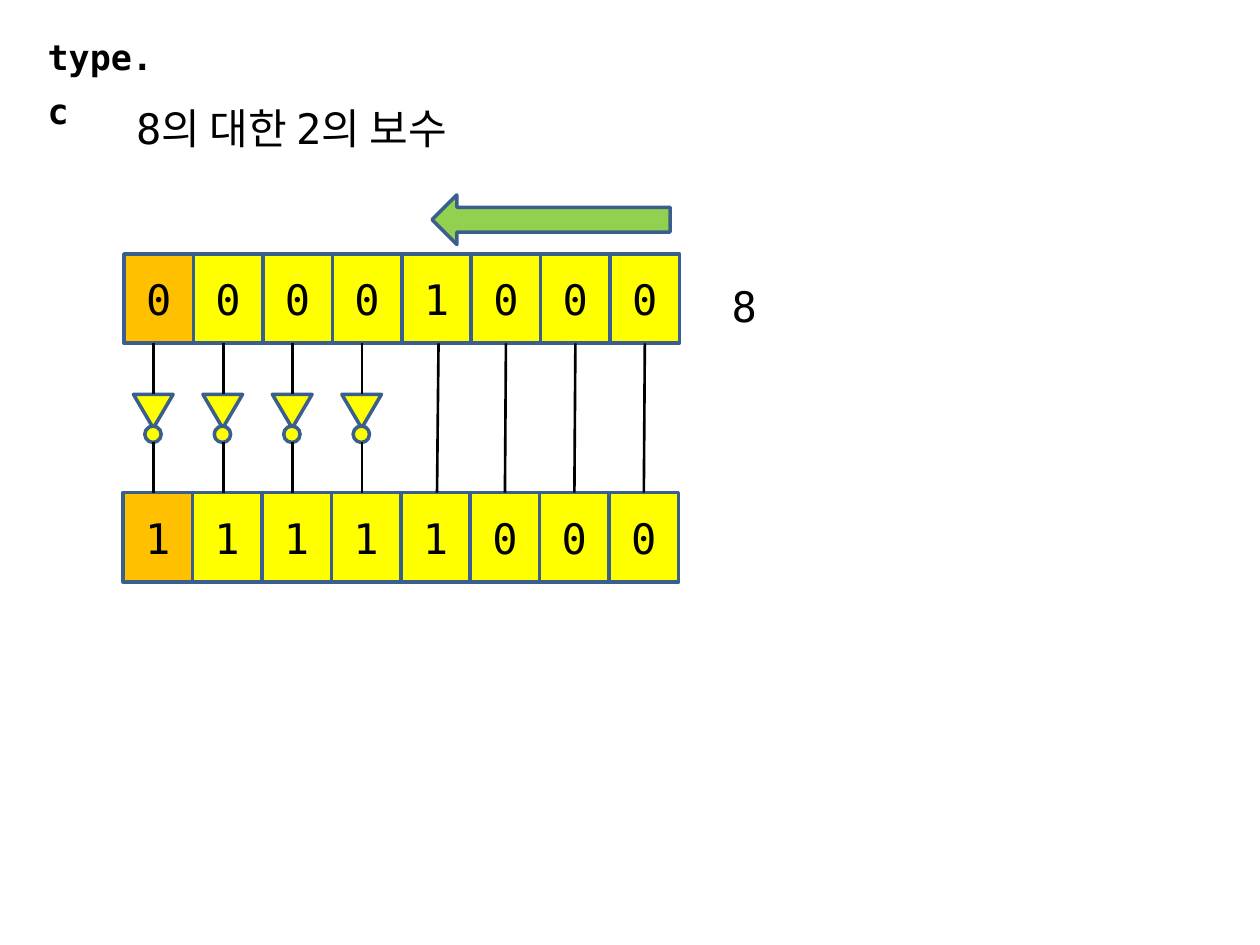
from lxml import etree
from pptx import Presentation
from pptx import util as u
from pptx.dml.color import RGBColor
from pptx.enum import shapes, text
from pptx.oxml import ns

FONT = {"name": "DejaVu Sans Mono", "size": u.Pt(24), "bold": False}
YELLOW, ORANGE, GREEN, BLUE, BLACK = "FFFF00", "FFC000", "92D050", "3A5F8C", "000000"
KIND = shapes.MSO_SHAPE


def color(value):
    return RGBColor.from_string(value)


def write(shape, words, align=text.PP_ALIGN.LEFT, **changes):
    paragraph = shape.text_frame.paragraphs[0]
    paragraph.alignment = align
    run = paragraph.add_run()
    run.text = words
    for name, value in {**FONT, **changes}.items():
        setattr(run.font, name, value)
    run.font.color.rgb = color(BLACK)


presentation = Presentation()
presentation.slide_width, presentation.slide_height = u.Cm(25.4), u.Cm(19.05)
slide = presentation.slides.add_slide(presentation.slide_layouts[5])
solids, wires = [], []

# Labels and title
file_label = slide.shapes.add_textbox(u.Cm(0.71), u.Cm(0.33), u.Cm(2.87), u.Cm(1.27))
file_label.text_frame.word_wrap = True
write(file_label, "type.c", size=u.Pt(20), bold=True)
file_label.text_frame.paragraphs[0].line_spacing = 1.3

title = slide.shapes.title
title.left, title.top, title.width, title.height = u.Cm(2.49), u.Cm(1.93), u.Cm(8), u.Cm(1.27)
title.text_frame.vertical_anchor = text.MSO_ANCHOR.TOP
title.text_frame.word_wrap = False
write(title, "8의 대한 2의 보수")

value_label = slide.shapes.add_textbox(u.Cm(14.5), u.Cm(5.54), u.Cm(1), u.Cm(1.27))
value_label.text_frame.word_wrap = False
write(value_label, "8")

# Two rows of bit cells
pitch, cell_height = 1.4, 1.8
rows = []
for bits, left, top in (("00001000", 2.5, 5.12), ("11111000", 2.48, 9.93)):
    row = []
    for i, bit in enumerate(bits):
        cell = slide.shapes.add_shape(
            KIND.RECTANGLE, u.Cm(left + i * pitch), u.Cm(top), u.Cm(pitch), u.Cm(cell_height))
        cell.text_frame.vertical_anchor = text.MSO_ANCHOR.MIDDLE
        write(cell, bit, text.PP_ALIGN.CENTER)
        solids.append((cell, YELLOW if i else ORANGE))
        row.append(cell)
    rows.append(row)

# Bits copied unchanged: the first 1 from the right and the zeros after it
wire_top, wire_bottom = u.Cm(6.92), u.Cm(9.93)
wires.append(slide.shapes.add_connector(
    shapes.MSO_CONNECTOR.STRAIGHT, u.Cm(8.84), wire_top, u.Cm(8.81), wire_bottom))
for upper, lower in list(zip(*rows))[5:]:
    wire = slide.shapes.add_connector(shapes.MSO_CONNECTOR.STRAIGHT, 0, 0, 0, 0)
    wire.begin_connect(upper, 2)
    wire.end_connect(lower, 0)
    wires.append(wire)

# Inverters for the remaining bits
for i in range(4):
    offset = i * pitch
    inverter = slide.shapes.add_group_shape().shapes
    triangle = inverter.add_shape(
        KIND.ISOSCELES_TRIANGLE, u.Cm(2.69 + offset), u.Cm(7.95), u.Cm(0.8), u.Cm(0.68))
    triangle.rotation = 180
    bubble = inverter.add_shape(
        KIND.OVAL, u.Cm(2.92 + offset), u.Cm(8.59), u.Cm(0.33), u.Cm(0.33))
    solids += [(triangle, YELLOW), (bubble, YELLOW)]
    x = u.Cm(3.1 + offset)
    for start, end in ((wire_top, u.Cm(7.94)), (u.Cm(8.92), wire_bottom)):
        wires.append(inverter.add_connector(shapes.MSO_CONNECTOR.STRAIGHT, x, start, x, end))

# Scan direction
arrow = slide.shapes.add_shape(KIND.LEFT_ARROW, u.Cm(8.71), u.Cm(3.93), u.Cm(4.8), u.Cm(1))
solids.append((arrow, GREEN))

# Fills and lines
for shape, fill in solids:
    shape.shadow.inherit = False
    shape.fill.solid()
    shape.fill.fore_color.rgb = color(fill)
    shape.line.color.rgb = color(BLUE)
    shape.line.width = u.Pt(2)
for wire in wires:
    wire.line.color.rgb = color(BLACK)
    wire.line.width = u.Pt(1.5)
    etree.SubElement(wire.element.spPr, ns.qn("a:effectLst"))

presentation.save("out.pptx")
